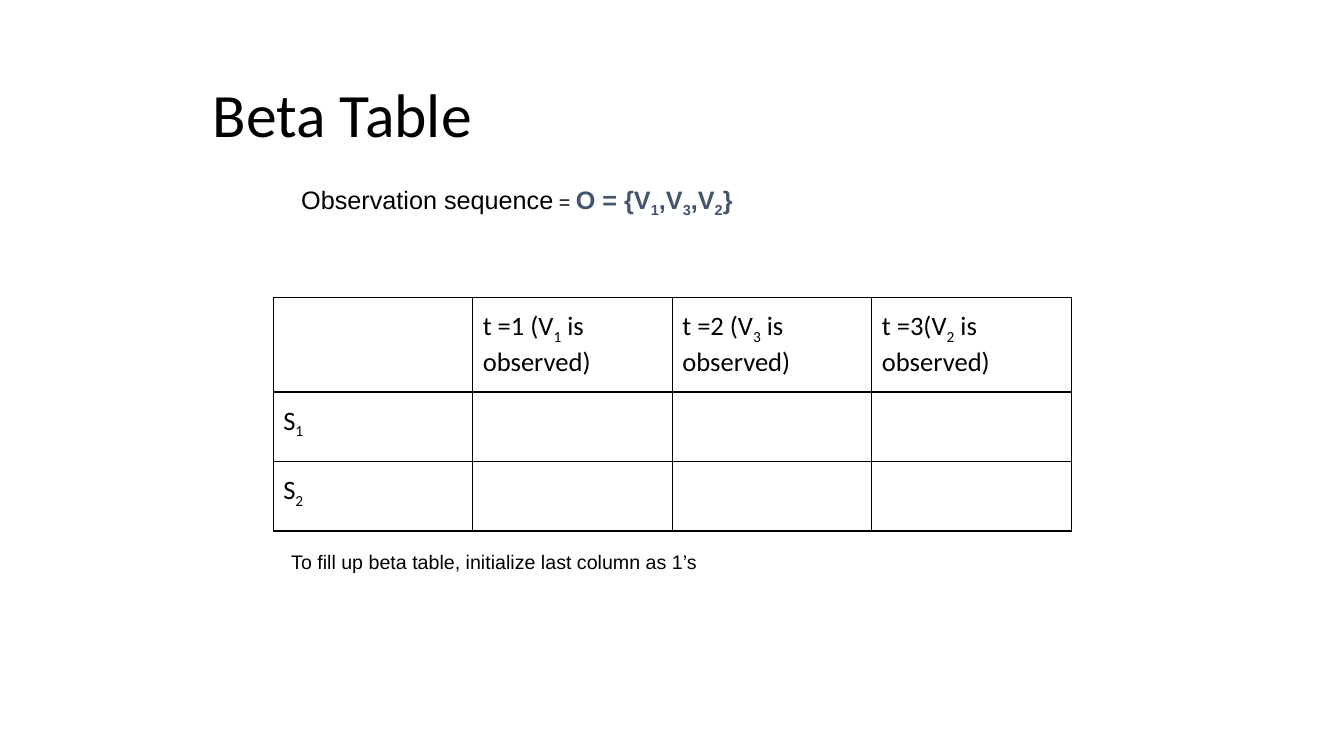
from lxml import etree
from pptx import Presentation
from pptx.dml.color import RGBColor
from pptx.enum import text
from pptx.oxml import ns
from pptx import util as u

BLACK = RGBColor(0x00, 0x00, 0x00)
SLATE = RGBColor(0x44, 0x54, 0x6A)

# An underscore lowers the character after it.
TITLE = [("Beta Table", dict(name="Calibri", size=u.Pt(44)))]
SEQUENCE = [
    ("Observation sequence", dict(name="Arial", size=u.Pt(18))),
    (" = ", dict(name="Arial", size=u.Pt(14))),
    ("O = {V_1,V_3,V_2}", dict(name="Arial", size=u.Pt(18), bold=True, color=SLATE)),
]
NOTE = [("To fill up beta table, initialize last column as 1’s",
         dict(name="Arial", size=u.Pt(14)))]
BETA = [
    ["", "t =1 (V_1 is observed)", "t =2 (V_3 is observed)", "t =3(V_2 is observed)"],
    ["S_1", "", "", ""],
    ["S_2", "", "", ""],
]
CELL_FONT = dict(name="Calibri", size=u.Pt(19))

# Left, top, width, height in percent of the slide
TITLE_AREA = (15.08, 8.67, 69.9, 11.07)
SEQUENCE_AREA = (21.68, 23.07, 56.49, 9.47)
NOTE_AREA = (20.93, 71.47, 38.33, 22.53)
ROW_SHARES = (12.53, 9.2, 9.2)
BETA_AREA = (20.33, 39.33, 59.4, sum(ROW_SHARES))

deck = Presentation()
deck.slide_width, deck.slide_height = u.Inches(13.33), u.Inches(7.5)


def place(area):
    sides = (deck.slide_width, deck.slide_height) * 2
    return [int(side * share / 100) for side, share in zip(sides, area)]


def add_run(paragraph, words, font, lowered=False):
    if not words:
        return
    run = paragraph.add_run()
    run.text = words
    settings = dict(font)
    run.font.color.rgb = settings.pop("color", BLACK)
    for key, value in settings.items():
        setattr(run.font, key, value)
    if lowered:
        run.font._element.set("baseline", "-25000")


def write(paragraph, pieces):
    paragraph.alignment = text.PP_ALIGN.LEFT
    for words, font in pieces:
        first, *rest = words.split("_")
        add_run(paragraph, first, font)
        for part in rest:
            add_run(paragraph, part[0], font, lowered=True)
            add_run(paragraph, part[1:], font)


def fill_frame(frame, pieces):
    frame_format = dict(
        word_wrap=True, auto_size=text.MSO_AUTO_SIZE.NONE,
        vertical_anchor=text.MSO_ANCHOR.TOP,
        **{f"margin_{side}": u.Inches(0.1) for side in ("left", "right", "top", "bottom")})
    for key, value in frame_format.items():
        setattr(frame, key, value)
    write(frame.paragraphs[0], pieces)


def outline(cell):
    properties = cell._tc.get_or_add_tcPr()
    for position, side in enumerate(("lnL", "lnR", "lnT", "lnB")):
        line = etree.Element(ns.qn(f"a:{side}"), w=str(u.Pt(1)))
        solid = etree.SubElement(line, ns.qn("a:solidFill"))
        etree.SubElement(solid, ns.qn("a:srgbClr"), val=str(BLACK))
        properties.insert(position, line)


slide = deck.slides.add_slide(deck.slide_layouts[5])
title = slide.shapes.title
title.left, title.top, title.width, title.height = place(TITLE_AREA)
fill_frame(title.text_frame, TITLE)

beta = slide.shapes.add_table(len(BETA), len(BETA[0]), *place(BETA_AREA)).table
beta.first_row = beta.horz_banding = False
for row, share in zip(beta.rows, ROW_SHARES):
    row.height = int(deck.slide_height * share / 100)
for r, entries in enumerate(BETA):
    for c, entry in enumerate(entries):
        cell = beta.cell(r, c)
        cell.margin_left = cell.margin_right = u.Inches(0.1)
        cell.margin_top = cell.margin_bottom = u.Inches(0.13)
        cell.fill.background()
        outline(cell)
        write(cell.text_frame.paragraphs[0], [(entry, CELL_FONT)])

for area, pieces in ((NOTE_AREA, NOTE), (SEQUENCE_AREA, SEQUENCE)):
    fill_frame(slide.shapes.add_textbox(*place(area)).text_frame, pieces)

deck.save("out.pptx")
